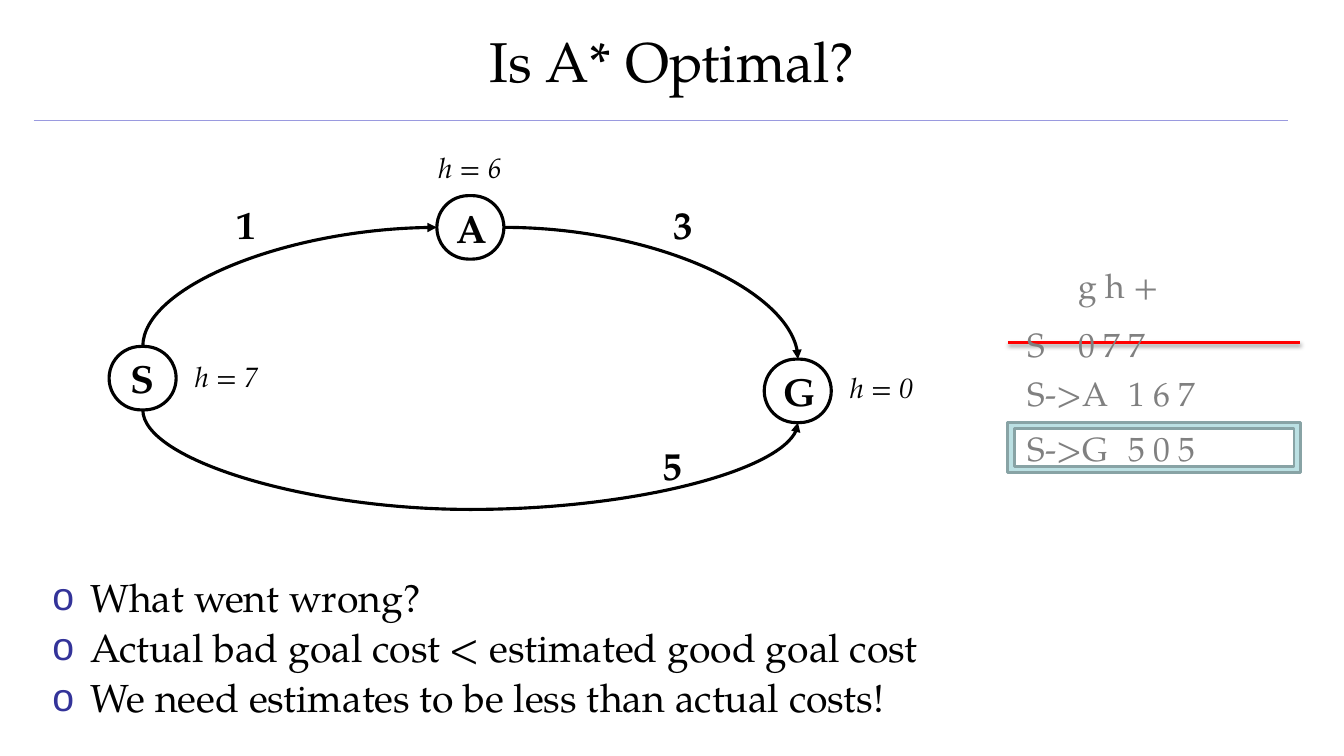
"""Build a slide asking whether A* search is optimal, with a small graph."""
from lxml.etree import SubElement
from pptx import Presentation
from pptx.dml.color import RGBColor
from pptx.enum.shapes import MSO_CONNECTOR, MSO_SHAPE
from pptx.enum.text import MSO_ANCHOR, PP_ALIGN
from pptx.oxml.ns import qn
from pptx.util import Cm, Pt

LEFT, MID = PP_ALIGN.LEFT, PP_ALIGN.CENTER
TOP, CORE = MSO_ANCHOR.TOP, MSO_ANCHOR.MIDDLE
ROUND, FRAME = MSO_SHAPE.ROUNDED_RECTANGLE, MSO_SHAPE.FRAME
LINE, CURVE = MSO_CONNECTOR.STRAIGHT, MSO_CONNECTOR.CURVE
FACE = "TeX Gyre Pagella"
BLACK, GREY = "000000", "808080"


def hue(code):
    return RGBColor.from_string(code)


def write(shape, text, size, align=LEFT, anchor=TOP, color=BLACK, bold=False, slant=False):
    frame = shape.text_frame
    frame.word_wrap = True
    frame.vertical_anchor = anchor
    frame.text = text
    for para in frame.paragraphs:
        para.alignment = align
        font = para.font
        font.name, font.size = FACE, Pt(size)
        font.bold, font.italic = bold, slant
        font.color.rgb = hue(color)
    return frame


deck = Presentation()
deck.slide_width, deck.slide_height = Cm(33.87), Cm(19.05)
slide = deck.slides.add_slide(deck.slide_layouts[6])
shapes = slide.shapes

title = shapes.add_textbox(Cm(0), Cm(-0.08), Cm(33.87), Cm(3.18))
write(title, "Is A* Optimal?", 40, MID, CORE)

points = [
    "What went wrong?",
    "Actual bad goal cost < estimated good goal cost",
    "We need estimates to be less than actual costs!",
]
body = shapes.add_textbox(Cm(1.07), Cm(14.45), Cm(26.6), Cm(4.01))
body.text_frame.text = "\n".join(points)
for para in body.text_frame.paragraphs:
    props = para._p.get_or_add_pPr()
    props.set("marL", str(Cm(0.95)))
    props.set("indent", str(Cm(-0.95)))
    tint = SubElement(props, qn("a:buClr"))
    SubElement(tint, qn("a:srgbClr"), val="333399")
    SubElement(props, qn("a:buFont"), typeface="Arial")
    SubElement(props, qn("a:buChar"), char="o")
    para.line_spacing = 0.9
    para.font.name, para.font.size = FACE, Pt(28)
    para.font.color.rgb = hue(BLACK)
for para in body.text_frame.paragraphs[1:]:
    para.space_before = Pt(5.6)

for name, x, y in [("A", 11.01, 4.93), ("G", 19.26, 9.05), ("S", 2.75, 8.73)]:
    node = shapes.add_shape(ROUND, Cm(x), Cm(y), Cm(1.69), Cm(1.6))
    node.adjustments[0] = 0.5
    node.shadow.inherit = False
    node.fill.background()
    node.line.color.rgb = hue(BLACK)
    node.line.width = Pt(2.25)
    write(node, name, 28, MID, CORE, bold=True)

for x, y, wide, cost, align in [
    (5.72, 4.93, 1.27, "1", LEFT),
    (16.72, 4.93, 1.27, "3", LEFT),
    (0, 11, 33.87, "5", MID),
]:
    box = shapes.add_textbox(Cm(x), Cm(y), Cm(wide), Cm(1.45))
    write(box, cost, 28, align, bold=True)

for x, y, guess in [(10.8, 3.66, "h = 6"), (21.17, 9.2, "h = 0"), (4.66, 8.94, "h")]:
    box = shapes.add_textbox(Cm(x), Cm(y), Cm(2.54), Cm(1.12))
    para = write(box, guess, 20, slant=True).paragraphs[0]
equal = para.add_run()
equal.text = " = "
equal.font.italic = False
para.add_run().text = "7"

for x1, y1, x2, y2, shape, flip, bend in [
    (3.6, 10.33, 20.11, 10.65, "curvedConnector3", True, 784000),
    (3.6, 8.73, 11.01, 5.73, "curvedConnector2", False, None),
    (12.7, 5.73, 20.11, 9.05, "curvedConnector2", False, None),
]:
    wide, high = x2 - x1, abs(y2 - y1)
    turn = flip or y2 < y1
    if turn:
        wide, high = high, wide
    x, y = (x1 + x2 - wide) / 2, (y1 + y2 - high) / 2
    edge = shapes.add_connector(CURVE, Cm(x), Cm(y), Cm(x + wide), Cm(y + high))
    edge.line.color.rgb = hue(BLACK)
    edge.line.width = Pt(2.25)
    SubElement(edge.line._get_or_add_ln(), qn("a:tailEnd"), type="triangle")
    props = edge._element.spPr
    SubElement(props, qn("a:effectLst"))
    form = props.find(qn("a:xfrm"))
    if turn:
        form.set("rot", "16200000")
    if flip:
        form.set("flipH", "1")
    geom = props.find(qn("a:prstGeom"))
    geom.set("prst", shape)
    if bend:
        SubElement(geom.find(qn("a:avLst")), qn("a:gd"), name="adj1", fmla=f"val {bend}")

for x1, x2, y, color, width in [
    (0.85, 32.45, 3.03, "9A9ADF", 1),
    (25.4, 32.77, 8.64, "FF0000", 2),
]:
    rule = shapes.add_connector(LINE, Cm(x1), Cm(y), Cm(x2), Cm(y))
    rule.line.color.rgb = hue(color)
    rule.line.width = Pt(width)
    glow = SubElement(rule._element.spPr, qn("a:effectLst"))
shade = SubElement(glow, qn("a:outerShdw"), blurRad=str(Pt(3.1)), dist=str(Pt(1.6)),
                   dir="5400000", rotWithShape="0")
tint = SubElement(shade, qn("a:srgbClr"), val=BLACK)
SubElement(tint, qn("a:alpha"), val="38000")

for y, text, stop in [
    (6.55, "\tg h +", 1.7),
    (8.03, "S\t0 7 7", 1.9),
    (9.27, "S->A\t1 6 7", 2.87),
    (10.67, "S->G\t5 0 5", 2.87),
]:
    row = shapes.add_textbox(Cm(25.65), Cm(y), Cm(7.37), Cm(1.27))
    props = row.text_frame.paragraphs[0]._p.get_or_add_pPr()
    tabs = SubElement(props, qn("a:tabLst"))
    SubElement(tabs, qn("a:tab"), pos=str(Cm(stop)), algn="l")
    write(row, text, 24, color=GREY)

pick = shapes.add_shape(FRAME, Cm(25.4), Cm(10.64), Cm(7.37), Cm(1.27))
pick.adjustments[0] = 0.125
pick.shadow.inherit = False
pick.fill.solid()
pick.fill.fore_color.rgb = hue("BBE0E3")
pick.line.color.rgb = hue("88A3A5")
pick.line.width = Pt(2)

deck.save("out.pptx")
